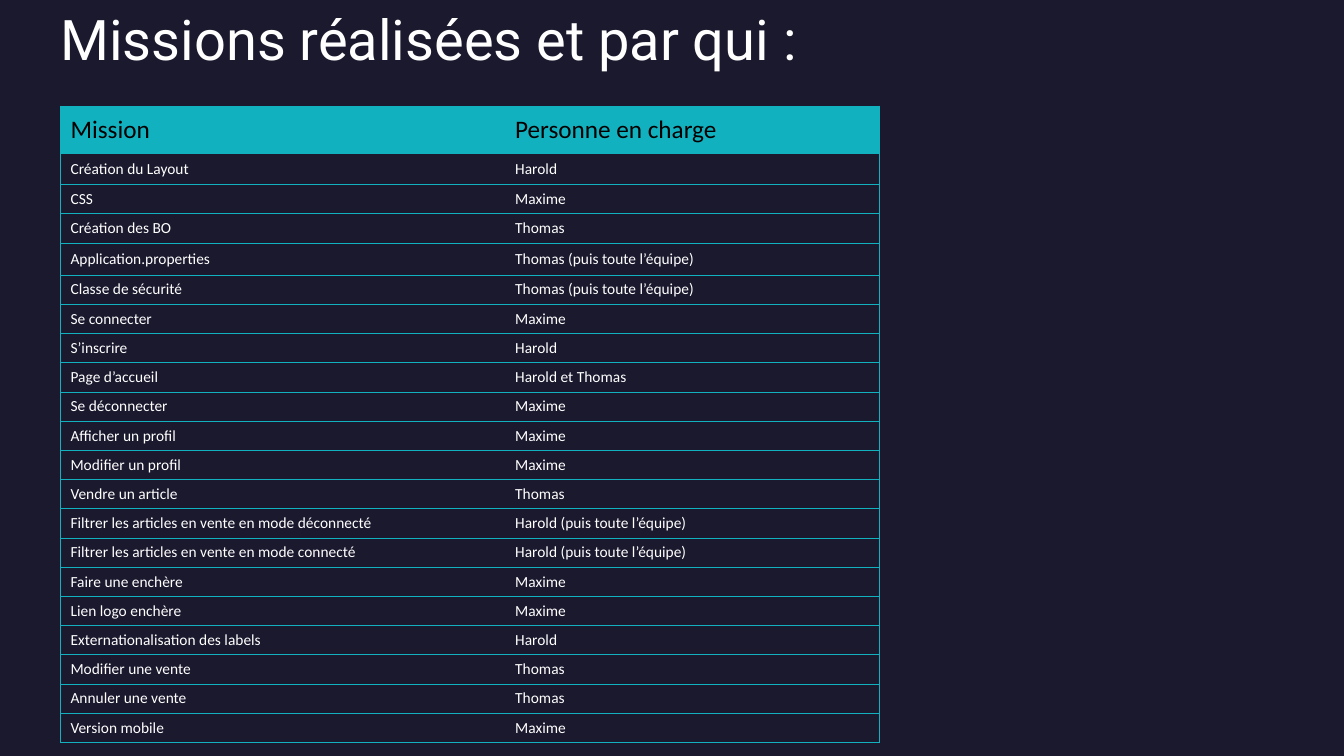
from lxml.etree import SubElement
from pptx import Presentation
from pptx.dml.color import RGBColor
from pptx.enum.text import MSO_ANCHOR
from pptx.oxml.ns import qn
from pptx.util import Inches, Pt

NAVY, TEAL, WHITE, BLACK = "1B192E", "12B1BF", "FFFFFF", "000000"
LEFT = 0.6
COLS = [4.41, 3.71]
HEADER_H, ROW_H = 0.47, 0.29
TALL_ROWS = {1: 0.31, 4: 0.32}

MISSIONS = [
    ("Mission", "Personne en charge"),
    ("Création du Layout", "Harold"),
    ("CSS", "Maxime"),
    ("Création des BO", "Thomas"),
    ("Application.properties", "Thomas (puis toute l’équipe)"),
    ("Classe de sécurité", "Thomas (puis toute l’équipe)"),
    ("Se connecter", "Maxime"),
    ("S’inscrire", "Harold"),
    ("Page d’accueil", "Harold et Thomas"),
    ("Se déconnecter", "Maxime"),
    ("Afficher un profil", "Maxime"),
    ("Modifier un profil", "Maxime"),
    ("Vendre un article", "Thomas"),
    ("Filtrer les articles en vente en mode déconnecté", "Harold (puis toute l’équipe)"),
    ("Filtrer les articles en vente en mode connecté", "Harold (puis toute l’équipe)"),
    ("Faire une enchère", "Maxime"),
    ("Lien logo enchère", "Maxime"),
    ("Externationalisation des labels", "Harold"),
    ("Modifier une vente", "Thomas"),
    ("Annuler une vente", "Thomas"),
    ("Version mobile", "Maxime"),
]


def style(p, font, size, color):
    p.font.name, p.font.size, p.font.bold = font, Pt(size), False
    p.font.color.rgb = RGBColor.from_string(color)


def set_borders(cell, hidden):
    """Draw thin teal borders, except on the hidden side."""
    tcPr = cell._tc.get_or_add_tcPr()
    for side in ("lnL", "lnR", "lnT", "lnB"):
        ln = SubElement(tcPr, qn(f"a:{side}"), w=str(Pt(0.5)))
        if side == hidden:
            SubElement(ln, qn("a:noFill"))
        else:
            fill = SubElement(ln, qn("a:solidFill"))
            SubElement(fill, qn("a:srgbClr"), val=TEAL)


prs = Presentation()
prs.slide_width, prs.slide_height = Inches(13.33), Inches(7.5)
s = prs.slides.add_slide(prs.slide_layouts[6])
s.background.fill.solid()
s.background.fill.fore_color.rgb = RGBColor.from_string(NAVY)

# Title
title = s.shapes.add_textbox(Inches(LEFT), Inches(0.12), Inches(12.13), Inches(1.3))
tf = title.text_frame
tf.word_wrap = True
tf.margin_left = tf.margin_right = tf.margin_top = tf.margin_bottom = 0
p = tf.paragraphs[0]
p.text = "Missions réalisées et par qui :"
p.line_spacing = 0.9
style(p, "Roboto", 40, WHITE)

# Table of missions
heights = [HEADER_H] + [TALL_ROWS.get(i, ROW_H) for i in range(1, len(MISSIONS))]
table = s.shapes.add_table(len(MISSIONS), len(COLS), Inches(LEFT), Inches(1.05),
                           Inches(sum(COLS)), Inches(sum(heights))).table
table.horz_banding = False
for column, width in zip(table.columns, COLS):
    column.width = Inches(width)

for i, (mission, height) in enumerate(zip(MISSIONS, heights)):
    table.rows[i].height = Inches(height)
    for j, text in enumerate(mission):
        cell = table.cell(i, j)
        cell.vertical_anchor = MSO_ANCHOR.MIDDLE
        set_borders(cell, hidden=("lnR", "lnL")[j])
        p = cell.text_frame.paragraphs[0]
        p.text = text
        if i == 0:
            cell.fill.solid()
            cell.fill.fore_color.rgb = RGBColor.from_string(TEAL)
            style(p, "Calibri", 18, BLACK)
        else:
            cell.fill.background()
            style(p, "Calibri", 11, WHITE)

prs.save("out.pptx")
